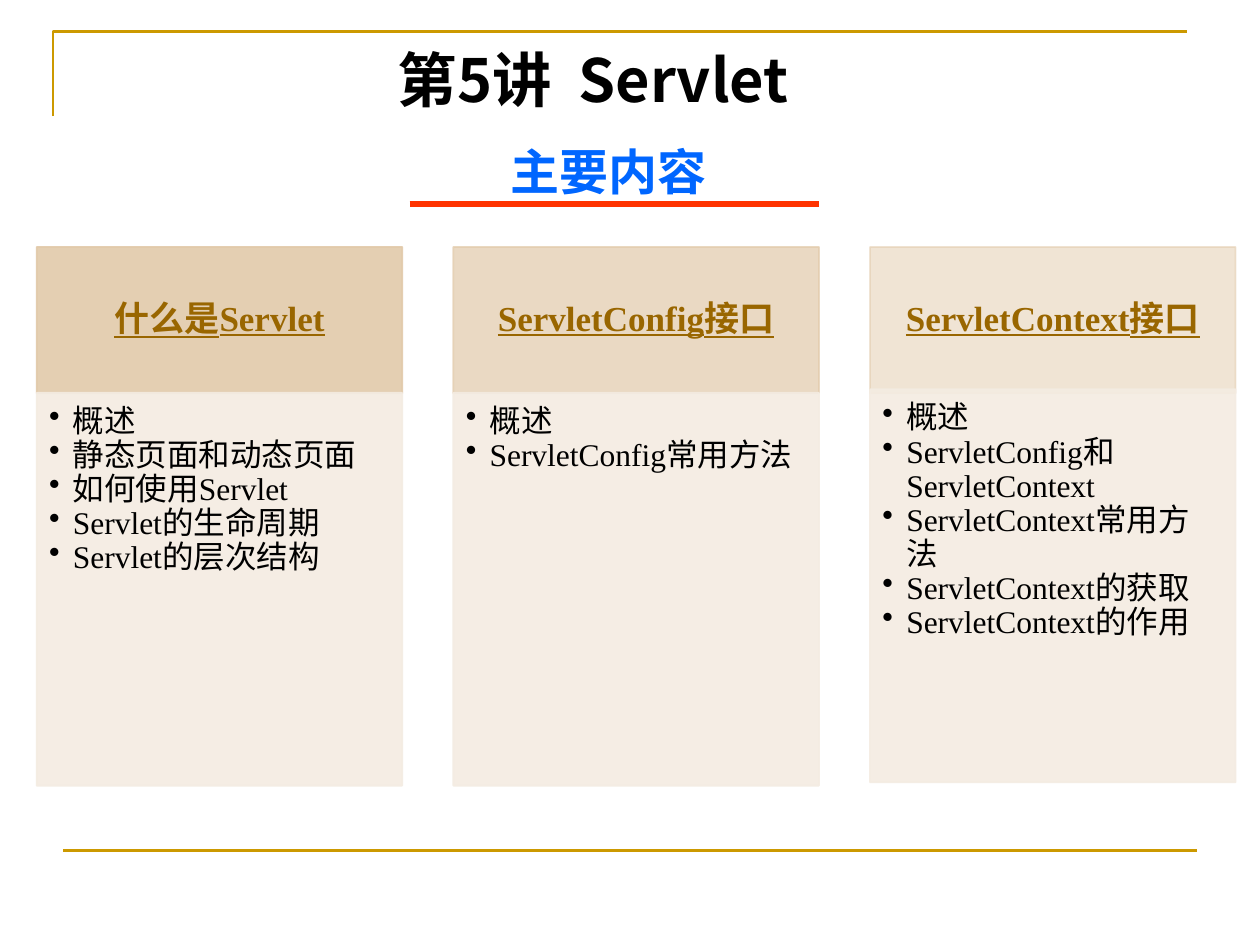
import pptx
import pptx.dml.color
import pptx.enum.shapes
import pptx.enum.text
import pptx.oxml.ns
import pptx.oxml.xmlchemy
import pptx.util
from pptx.util import Cm

COLORS = {
    "gold": "CC9900", "red": "FF3300", "blue": "0066FF", "black": "000000",
    "brown": "996600", "head": "E2CAAA", "panel": "F4ECE2",
}
ALIGN = pptx.enum.text.PP_ALIGN
ANCHOR = pptx.enum.text.MSO_ANCHOR
RECTANGLE = pptx.enum.shapes.MSO_SHAPE.RECTANGLE
STRAIGHT = pptx.enum.shapes.MSO_CONNECTOR.STRAIGHT
CJK_FONT = "Noto Sans CJK SC"
new_element = pptx.oxml.xmlchemy.OxmlElement


def rgb(name):
    return pptx.dml.color.RGBColor.from_string(COLORS[name])


def write(box, text, size, color, font="Times New Roman", bold=False,
          underline=False, align=ALIGN.CENTER, anchor=ANCHOR.TOP, spacing=0.9,
          margins=(0.25, 0.13, 0.25, 0.13), indent=None):
    """Fill box with one paragraph per line; an indent in cm adds bullets."""
    frame = box.text_frame
    frame.word_wrap = True
    frame.vertical_anchor = anchor
    (frame.margin_left, frame.margin_top,
     frame.margin_right, frame.margin_bottom) = map(Cm, margins)
    for number, line in enumerate(text.split("\n")):
        para = frame.add_paragraph() if number else frame.paragraphs[0]
        para.alignment = align
        para.line_spacing = spacing
        if indent:
            properties = para._p.get_or_add_pPr()
            properties.set("marL", str(Cm(indent)))
            properties.set("indent", str(-Cm(indent)))
            bullet = new_element("a:buChar")
            bullet.set("char", "•")
            properties.append(bullet)
        span = para.add_run()
        span.text = line
        span.font.name = font
        span.font.size = pptx.util.Pt(size)
        span.font.bold = bold
        span.font.underline = underline
        span.font.color.rgb = rgb(color)
        east_asian = new_element("a:ea")
        east_asian.set("typeface", CJK_FONT)
        span._r.rPr.find(pptx.oxml.ns.qn("a:latin")).addnext(east_asian)


deck = pptx.Presentation()
deck.slide_width, deck.slide_height = Cm(25.4), Cm(19.05)
page = deck.slides.add_slide(deck.slide_layouts[6])

# Frame corner and rules
builder = page.shapes.build_freeform(Cm(1.07), Cm(2.34))
builder.add_line_segments([(Cm(1.07), Cm(0.64)), (Cm(23.93), Cm(0.64))], close=False)
corner = builder.convert_to_shape()
corner.shadow.inherit = False
corner.fill.background()
corner.line.color.rgb = rgb("gold")
corner.line.width = pptx.util.Pt(1.5)

for left, right, top, color, width in [
    (1.27, 24.13, 17.15, "gold", 1.5),
    (8.26, 16.51, 4.11, "red", 3),
]:
    rule = page.shapes.add_connector(STRAIGHT, Cm(left), Cm(top), Cm(right), Cm(top))
    rule.line.color.rgb = rgb(color)
    rule.line.width = pptx.util.Pt(width)
    rule._element.spPr.append(new_element("a:effectLst"))

# Headings
title = page.shapes.add_textbox(Cm(3.02), Cm(0.74), Cm(17.88), Cm(2.87))
write(title, "第5讲  Servlet", 34, "black", font=CJK_FONT, bold=True, spacing=1)
subtitle = page.shapes.add_textbox(Cm(0.84), Cm(2.13), Cm(22.86), Cm(2))
write(subtitle, "主要内容", 28, "blue", font="Arial", bold=True, spacing=1.5)

# Columns: heading, its opacity in percent, top of the panel, topics
columns = [
    ("什么是Servlet", 90, 7.92,
     "概述\n静态页面和动态页面\n如何使用Servlet\nServlet的生命周期\nServlet的层次结构"),
    ("ServletConfig接口", 70, 7.92, "概述\nServletConfig常用方法"),
    ("ServletContext接口", 50, 7.85,
     "概述\nServletConfig和ServletContext\nServletContext常用方法\n"
     "ServletContext的获取\nServletContext的作用"),
]
for index, (heading, opacity, panel_top, topics) in enumerate(columns):
    left = Cm(0.74 + 8.4 * index)
    head = page.shapes.add_shape(RECTANGLE, left, Cm(4.98), Cm(7.37), Cm(2.95))
    panel = page.shapes.add_shape(RECTANGLE, left, Cm(panel_top), Cm(7.37), Cm(7.92))
    for box, color, percent in [(head, "head", opacity), (panel, "panel", 90)]:
        box.shadow.inherit = False
        box.fill.solid()
        box.fill.fore_color.rgb = rgb(color)
        box.line.color.rgb = rgb(color)
        box.line.width = pptx.util.Pt(1)
        for tint in box._element.spPr.iter(pptx.oxml.ns.qn("a:srgbClr")):
            alpha = new_element("a:alpha")
            alpha.set("val", str(percent * 1000))
            tint.append(alpha)
    write(head, heading, 20, "brown", bold=True, underline=True,
          anchor=ANCHOR.MIDDLE, margins=(0.41, 0.23, 0.41, 0.23))
    write(panel, topics, 18, "black", align=ALIGN.LEFT,
          margins=(0.25, 0.25, 0.36, 0.41), indent=0.48)

deck.save("out.pptx")
